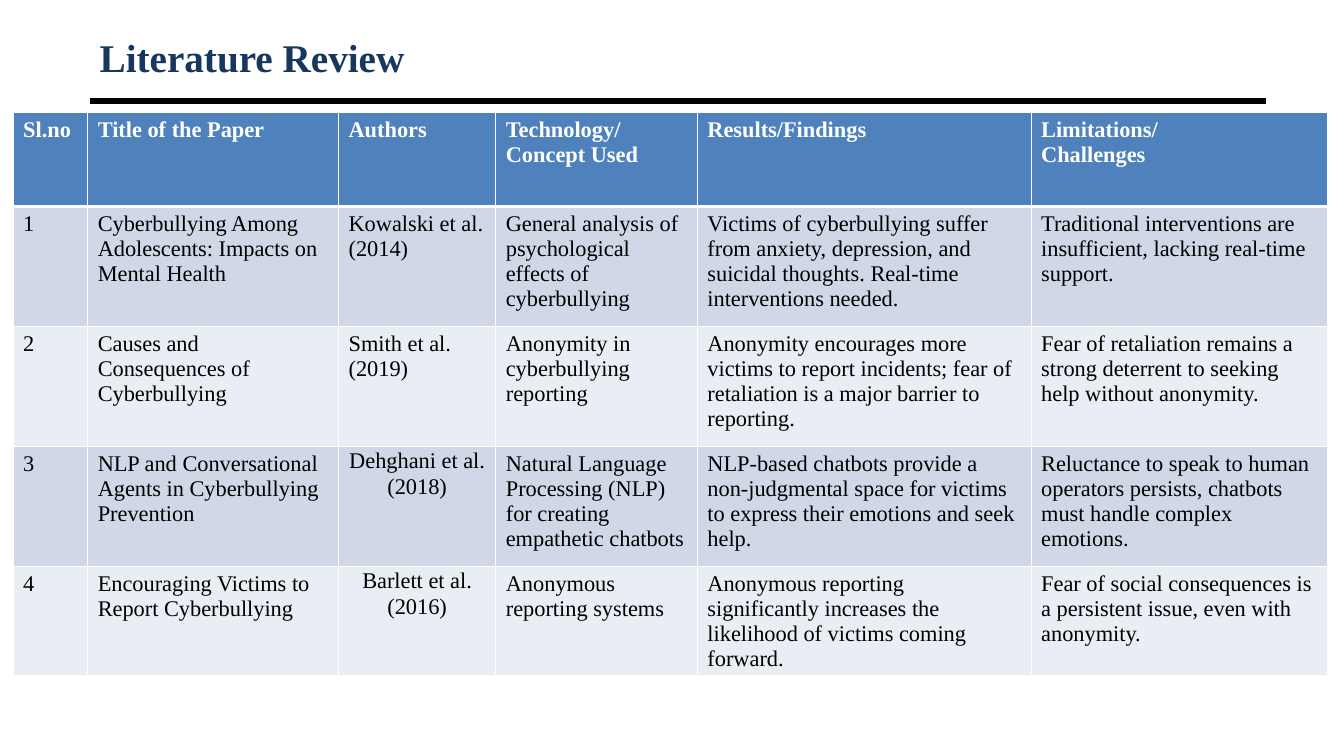
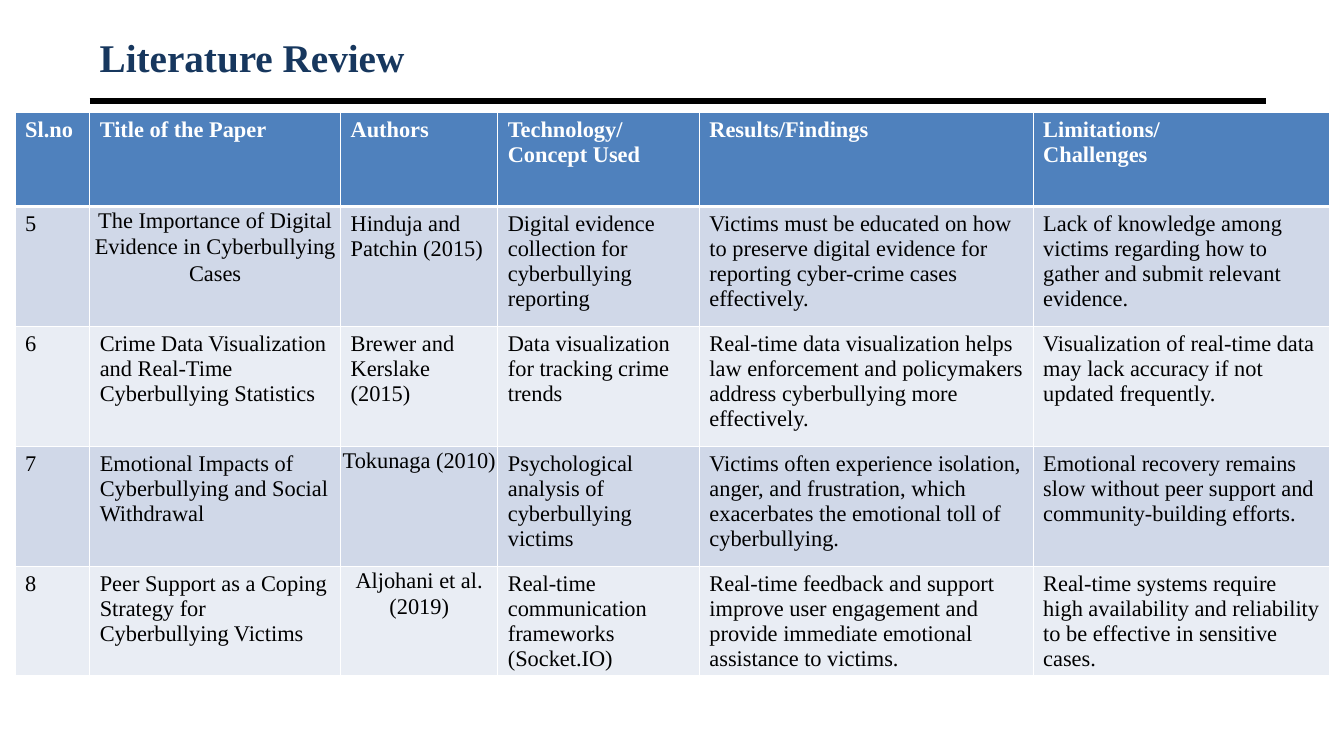
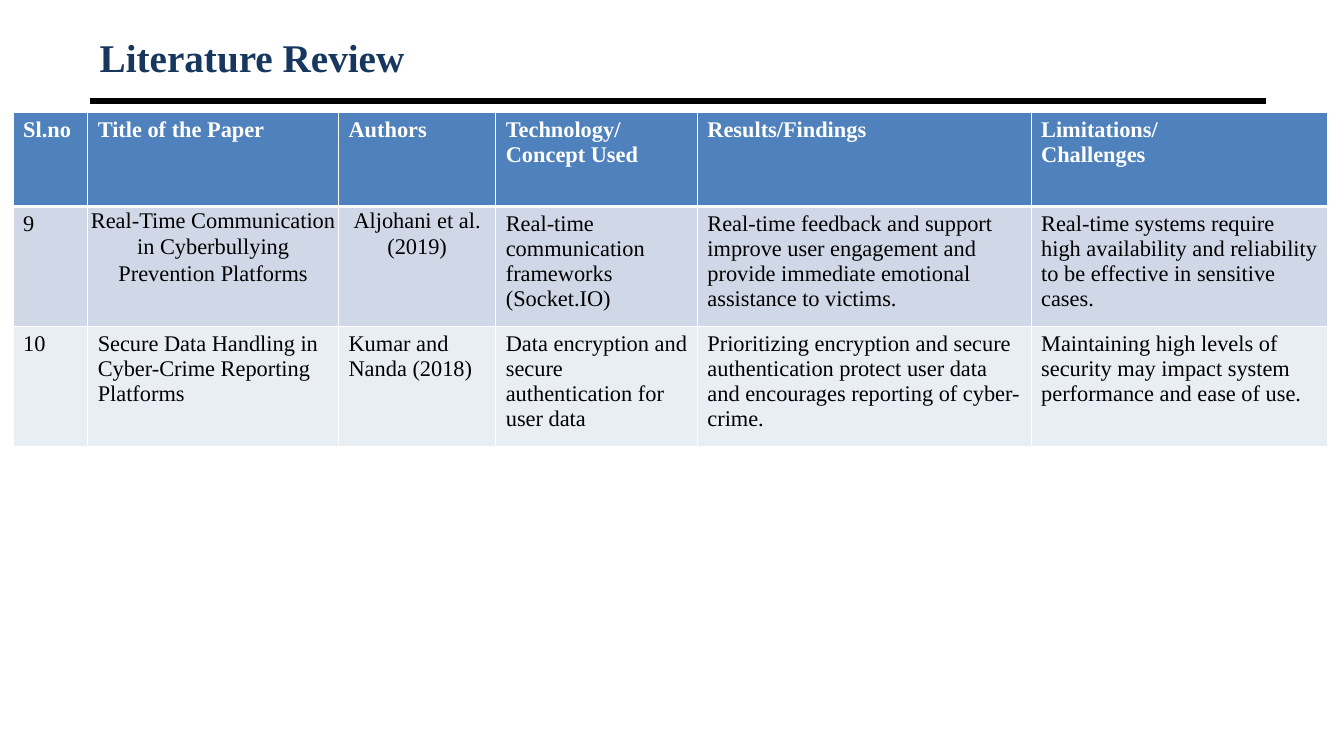
from dataclasses import dataclass

from lxml.etree import SubElement as Sub
from pptx import Presentation as Deck
from pptx.dml.color import RGBColor as Rgb
from pptx.enum.shapes import MSO_CONNECTOR as Link
from pptx.enum.text import MSO_ANCHOR as Anchor, MSO_AUTO_SIZE as Fit, PP_ALIGN as Align
from pptx.oxml import parse_xml
from pptx.oxml.ns import nsdecls, qn
from pptx.util import Inches, Pt


@dataclass(frozen=True)
class Theme:
    font: str = "Times New Roman"
    navy: str = "17375E"
    black: str = "000000"
    white: str = "FFFFFF"
    head: str = "4F81BD"
    bands: tuple = ("D0D8E8", "E9EDF4")
    big: int = 28
    body: int = 16
    rule: float = 4.5
    thin: int = 1
    thick: int = 3


class Mid(str):
    """Cell text that is centred, without cell margins."""


WIDE, HIGH = 13.33, 7.5
COLS, ROWS = 120, 75
LEFT, RIGHT = 8, 113
WIDTHS = (6.66, 22.4, 14.04, 18, 29.8, 26.46)
HEIGHTS = (9.3, 11.9, 11.9, 11.9, 8.1)

HEADS = ("Sl.no", "Title of the Paper", "Authors", "Technology/Concept Used",
         "Results/Findings", "Limitations/\nChallenges")

LIVE = (
    "Real-time communication frameworks (Socket.IO)",
    "Real-time feedback and support improve user engagement and provide "
    "immediate emotional assistance to victims.",
    "Real-time systems require high availability and reliability to be "
    "effective in sensitive cases.",
)

PAPERS = (
    ("Cyberbullying Among Adolescents: Impacts on Mental Health",
     "Kowalski et al. (2014)",
     "General analysis of psychological effects of cyberbullying",
     "Victims of cyberbullying suffer from anxiety, depression, and suicidal "
     "thoughts. Real-time interventions needed.",
     "Traditional interventions are insufficient, lacking real-time support."),
    ("Causes and Consequences of Cyberbullying",
     "Smith et al. (2019)",
     "Anonymity in cyberbullying reporting",
     "Anonymity encourages more victims to report incidents; fear of "
     "retaliation is a major barrier to reporting.",
     "Fear of retaliation remains a strong deterrent to seeking help without "
     "anonymity."),
    ("NLP and Conversational Agents in Cyberbullying Prevention",
     Mid("Dehghani et al. (2018)"),
     "Natural Language Processing (NLP) for creating empathetic chatbots",
     "NLP-based chatbots provide a non-judgmental space for victims to express "
     "their emotions and seek help.",
     "Reluctance to speak to human operators persists, chatbots must handle "
     "complex emotions."),
    ("Encouraging Victims to Report Cyberbullying",
     Mid("Barlett et al. (2016)"),
     "Anonymous reporting systems",
     "Anonymous reporting significantly increases the likelihood of victims "
     "coming forward.",
     "Fear of social consequences is a persistent issue, even with anonymity."),
    (Mid("The Importance of Digital Evidence in Cyberbullying Cases"),
     "Hinduja and Patchin (2015)",
     "Digital evidence collection for cyberbullying reporting",
     "Victims must be educated on how to preserve digital evidence for "
     "reporting cyber-crime cases effectively.",
     "Lack of knowledge among victims regarding how to gather and submit "
     "relevant evidence."),
    ("Crime Data Visualization and Real-Time Cyberbullying Statistics",
     "Brewer and Kerslake (2015)",
     "Data visualization for tracking crime trends",
     "Real-time data visualization helps law enforcement and policymakers "
     "address cyberbullying more effectively.",
     "Visualization of real-time data may lack accuracy if not updated "
     "frequently."),
    ("Emotional Impacts of Cyberbullying and Social Withdrawal",
     Mid("Tokunaga (2010)"),
     "Psychological analysis of cyberbullying victims",
     "Victims often experience isolation, anger, and frustration, which "
     "exacerbates the emotional toll of cyberbullying.",
     "Emotional recovery remains slow without peer support and "
     "community-building efforts."),
    ("Peer Support as a Coping Strategy for Cyberbullying Victims",
     Mid("Aljohani et al. (2019)"), *LIVE),
    (Mid("Real-Time Communication in Cyberbullying Prevention Platforms"),
     Mid("Aljohani et al. (2019)"), *LIVE),
    ("Secure Data Handling in Cyber-Crime Reporting Platforms",
     "Kumar and Nanda (2018)",
     "Data encryption and secure authentication for user data",
     "Prioritizing encryption and secure authentication protect user data and "
     "encourages reporting of cyber-crime.",
     "Maintaining high levels of security may impact system performance and "
     "ease of use."),
)


def col(n):
    return Inches(WIDE * n / COLS)


def row(n):
    return Inches(HIGH * n / ROWS)


def write(frame, text, *, font, size, color, bold=False, align=Align.LEFT,
          lead=None, after=None):
    """Fill a text frame, one paragraph for each line of the text."""
    for i, line in enumerate(text.split("\n")):
        para = frame.add_paragraph() if i else frame.paragraphs[0]
        para.alignment = align
        para.line_spacing = lead
        para.space_after = after
        run = para.add_run()
        run.text = line
        run.font.name = font
        run.font.size = Pt(size)
        run.font.bold = bold
        run.font.color.rgb = Rgb.from_string(color)


def edge(cell, color, **sides):
    """Draw cell borders; sides maps L, R, T, B, in that order, to points."""
    props = cell._tc.get_or_add_tcPr()
    for i, (side, size) in enumerate(sides.items()):
        props.insert(i, parse_xml(
            f'<a:ln{side} {nsdecls("a")} w="{Pt(size)}"><a:solidFill>'
            f'<a:srgbClr val="{color}"/></a:solidFill></a:ln{side}>'))


class Maker:
    def __init__(self, deck, theme):
        self.deck, self.theme = deck, theme
        self.plan = deck.slide_layouts[5]
        self.slide = None

    def page(self, title):
        first = self.slide is None
        self.slide = self.deck.slides.add_slide(self.plan)
        if first:
            self.rule()
        self.title(title)

    def rule(self):
        """Put the line under the title on the layout, for every slide."""
        line = self.slide.shapes.add_connector(
            Link.STRAIGHT, col(LEFT), row(10), col(RIGHT), row(10))
        line.line.color.rgb = Rgb.from_string(self.theme.black)
        line.line.width = Pt(self.theme.rule)
        Sub(line.element.spPr, qn("a:effectLst"))
        self.plan.shapes.element.append(line.element)

    def title(self, text):
        look = self.theme
        box = self.slide.shapes.title
        box.left, box.top = col(LEFT), row(3)
        box.width, box.height = col(RIGHT - LEFT), row(5.3)
        frame = box.text_frame
        frame.auto_size = Fit.NONE
        frame.vertical_anchor = Anchor.MIDDLE
        write(frame, text, font=look.font, size=look.big, color=look.navy, bold=True)

    def table(self, left, data):
        tall = HEIGHTS[:len(data)]
        grid = self.slide.shapes.add_table(
            len(data), len(WIDTHS), col(left), row(11.2),
            col(sum(WIDTHS)), row(sum(tall))).table
        grid.horz_banding = False
        for part, size in zip(grid.columns, WIDTHS):
            part.width = col(size)
        for part, size in zip(grid.rows, tall):
            part.height = row(size)
        for r, line in enumerate(data):
            for c, text in enumerate(line):
                self.cell(grid.cell(r, c), text, r)

    def cell(self, cell, text, r):
        look, head = self.theme, r == 0
        fill = look.head if head else look.bands[(r - 1) % 2]
        cell.fill.solid()
        cell.fill.fore_color.rgb = Rgb.from_string(fill)
        edge(cell, look.white, L=look.thin, R=look.thin,
             T=look.thick if r == 1 else look.thin,
             B=look.thick if head else look.thin)
        form = {}
        if isinstance(text, Mid):
            cell.margin_left = cell.margin_right = 0
            cell.margin_top = cell.margin_bottom = 0
            form = dict(align=Align.CENTER, lead=1.07, after=Pt(8))
        write(cell.text_frame, text, font=look.font, size=look.body, bold=head,
              color=look.white if head else look.black, **form)


def main():
    deck = Deck()
    deck.slide_width, deck.slide_height = Inches(WIDE), Inches(HIGH)
    make = Maker(deck, Theme())
    lines = [(str(n), *paper) for n, paper in enumerate(PAPERS, 1)]
    step = len(HEIGHTS) - 1
    for i, left in enumerate((1.17, 1.35, 1.17)):
        make.page("Literature Review")
        make.table(left, [HEADS, *lines[i * step:(i + 1) * step]])
    deck.save("out.pptx")


if __name__ == "__main__":
    main()
